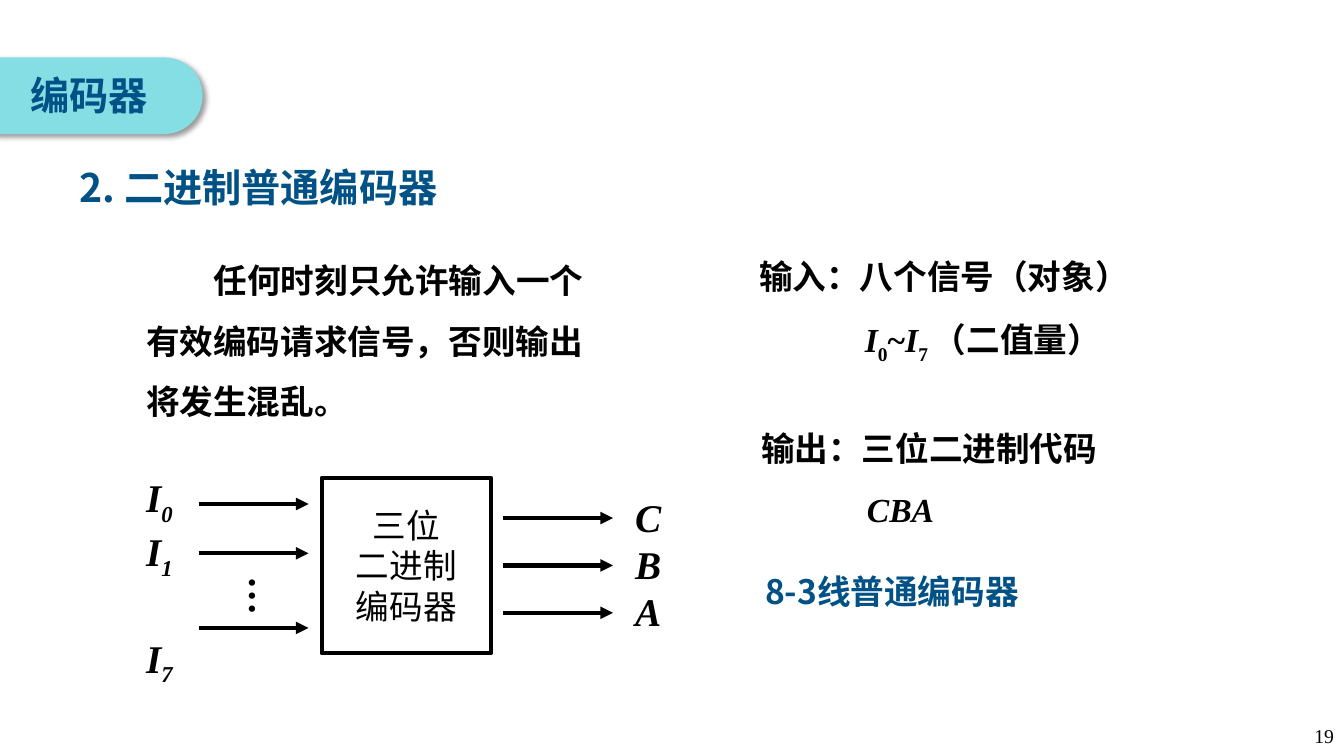
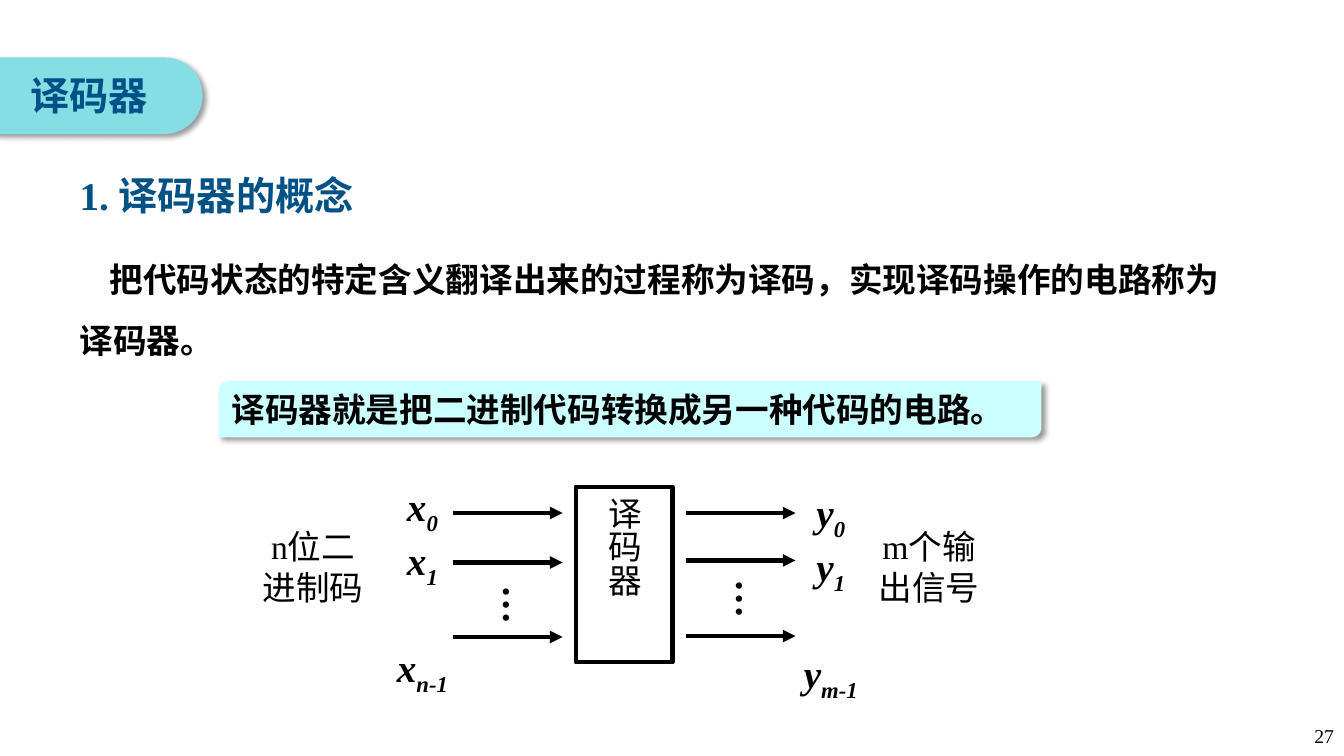
from dataclasses import dataclass, replace

from lxml.etree import SubElement
from pptx import Presentation
from pptx.dml.color import RGBColor
from pptx.enum.shapes import MSO_CONNECTOR, MSO_SHAPE
from pptx.enum.text import MSO_ANCHOR, MSO_AUTO_SIZE, PP_ALIGN
from pptx.oxml.ns import qn
from pptx.util import Emu, Pt

EMU_PER_PX = 9144  # 100 px to the inch
COLORS = {
    "black": "000000",
    "title": "005286",
    "badge": "86DEE5",
    "note": "CCFFFF",
    "white": "FFFFFF",
}
SANS = "Noto Sans CJK SC"
SERIF = "Times New Roman"
ARROW_LENGTH = 109
SKIPPED_LINE = 38


@dataclass(frozen=True)
class Style:
    size: int = 24
    color: str = "black"
    font: str = SERIF
    bold: bool = True
    italic: bool = False
    subscript: bool = False


BODY = Style()
LABEL = Style(bold=False)
SANS_BODY = Style(font=SANS)
HEADING = Style(size=28, color="title", font=SANS)
SYMBOL = Style(size=28, italic=True)
INDEX = replace(SYMBOL, subscript=True)
PAGE_NUMBER = Style(size=14, bold=False)


@dataclass(frozen=True)
class Line:
    """One paragraph: runs of (text, style) and its layout."""
    runs: list
    align: PP_ALIGN = PP_ALIGN.LEFT
    spacing: float = 1.0
    before: int = 0
    margin: int = 0
    first_indent: int = 0


def px(value):
    return Emu(value * EMU_PER_PX)


def color(name):
    return RGBColor.from_string(COLORS[name])


def add_run(paragraph, text, style):
    run = paragraph.add_run()
    run.text = text
    font = run.font
    font.size = Pt(style.size)
    font.bold = style.bold
    font.italic = style.italic
    font.name = style.font
    font.color.rgb = color(style.color)
    properties = run._r.get_or_add_rPr()
    SubElement(properties, qn("a:ea")).set("typeface", SANS)
    if style.subscript:
        properties.set("baseline", "-25000")


def write_lines(shape, lines, anchor=MSO_ANCHOR.TOP, vertical=False):
    frame = shape.text_frame
    frame.vertical_anchor = anchor
    if vertical:
        frame._txBody.bodyPr.set("vert", "eaVert")
    for number, line in enumerate(lines):
        paragraph = frame.add_paragraph() if number else frame.paragraphs[0]
        paragraph.alignment = line.align
        paragraph.line_spacing = line.spacing
        if line.before:
            paragraph.space_before = Pt(line.before)
        properties = paragraph._p.get_or_add_pPr()
        properties.set("marL", str(px(line.margin)))
        properties.set("indent", str(px(line.first_indent)))
        for text, style in line.runs:
            add_run(paragraph, text, style)


def add_text(slide, box, lines, wrap=True, grow=True, **layout):
    shape = slide.shapes.add_textbox(*map(px, box))
    shape.text_frame.word_wrap = wrap
    shape.text_frame.auto_size = (
        MSO_AUTO_SIZE.SHAPE_TO_FIT_TEXT if grow else MSO_AUTO_SIZE.NONE)
    write_lines(shape, lines, **layout)


def add_panel(slide, kind, box, fill):
    shape = slide.shapes.add_shape(kind, *map(px, box))
    shape.shadow.inherit = False
    shape.fill.solid()
    shape.fill.fore_color.rgb = color(fill)
    shape.line.fill.background()
    return shape


def add_soft_shadow(shape):
    effects = shape._element.spPr.find(qn("a:effectLst"))
    shadow = SubElement(effects, qn("a:outerShdw"), {
        "blurRad": str(Pt(4)), "dist": str(Pt(3)), "dir": "2700000",
        "algn": "tl", "rotWithShape": "0"})
    shade = SubElement(shadow, qn("a:srgbClr"), val=COLORS["black"])
    SubElement(shade, qn("a:alpha"), val="40000")


def add_block(slide, box, lines, vertical=False):
    block = add_panel(slide, MSO_SHAPE.RECTANGLE, box, "white")
    block.line.color.rgb = color("black")
    block.line.width = Pt(3)
    write_lines(block, lines, MSO_ANCHOR.MIDDLE, vertical)


def add_arrows(slide, left, heights):
    for height in heights:
        arrow = slide.shapes.add_connector(
            MSO_CONNECTOR.STRAIGHT,
            px(left), px(height), px(left + ARROW_LENGTH), px(height))
        arrow.line.color.rgb = color("black")
        arrow.line.width = Pt(3)
        SubElement(arrow.line._get_or_add_ln(), qn("a:tailEnd"), type="triangle")
        SubElement(arrow._element.spPr, qn("a:effectLst"))


def add_dots(slide, left, top):
    dots = [Line([("…", replace(SANS_BODY, size=28))])]
    add_text(slide, (left, top, 67, 50), dots, wrap=False, vertical=True)


def add_signals(slide, box, symbol, indices, align=PP_ALIGN.LEFT):
    """Stack indexed signal names, with a gap above the last one."""
    last = len(indices) - 1
    lines = [
        Line([(symbol, SYMBOL), (index, INDEX)], align,
             before=SKIPPED_LINE if number == last else 0)
        for number, index in enumerate(indices)
    ]
    add_text(slide, box, lines, wrap=False)


def plain_lines(texts, style, align=PP_ALIGN.LEFT):
    return [Line([(text, style)], align) for text in texts]


def new_slide(presentation, topic, page):
    slide = presentation.slides.add_slide(presentation.slide_layouts[6])
    badge = add_panel(slide, MSO_SHAPE.ROUNDED_RECTANGLE, (-38, 57, 239, 76), "badge")
    badge.adjustments[0] = 0.5
    add_soft_shadow(badge)
    add_text(slide, (20, 66, 228, 57), plain_lines([topic], HEADING))
    add_text(slide, (1033, 710, 300, 40),
             plain_lines([page], PAGE_NUMBER, PP_ALIGN.RIGHT),
             grow=False, anchor=MSO_ANCHOR.MIDDLE)
    return slide


def add_definition(slide, box, title, detail):
    lines = [Line([(title, BODY)], spacing=1.5),
             Line(detail, spacing=1.5, margin=105)]
    add_text(slide, box, lines, anchor=MSO_ANCHOR.MIDDLE)


def build_encoder(presentation):
    slide = new_slide(presentation, "编码器", "19")
    add_text(slide, (69, 157, 742, 57), plain_lines(["2. 二进制普通编码器"], HEADING))
    rule = "任何时刻只允许输入一个有效编码请求信号，否则输出将发生混乱。"
    add_text(slide, (135, 233, 475, 184),
             [Line([(rule, BODY)], spacing=1.5, first_indent=67)])

    italic = replace(BODY, italic=True)
    index = replace(BODY, subscript=True)
    add_definition(slide, (743, 236, 501, 124), "输入：八个信号（对象）", [
        ("I", italic), ("0", index), ("~", BODY),
        ("I", italic), ("7 ", index), ("（二值量）", BODY)])
    add_definition(slide, (745, 403, 522, 124), "输出：三位二进制代码",
                   [("CBA", italic)])
    add_text(slide, (749, 561, 274, 50),
             plain_lines(["8-3线普通编码器"], replace(HEADING, size=24)))

    add_signals(slide, (135, 465, 49, 183), "I", "017")
    add_arrows(slide, 197, (500, 549, 623))
    add_dots(slide, 212, 562)
    add_block(slide, (319, 474, 168, 174),
              plain_lines(["三位", "二进制", "编码器"], LABEL, PP_ALIGN.CENTER))
    add_arrows(slide, 499, range(514, 609, 47))
    add_text(slide, (620, 484, 46, 151), plain_lines("CBA", SYMBOL), wrap=False)


def build_decoder(presentation):
    slide = new_slide(presentation, "译码器", "27")
    add_text(slide, (69, 165, 742, 57),
             plain_lines(["1. 译码器的概念"], replace(HEADING, font=SERIF)))
    concept = "把代码状态的特定含义翻译出来的过程称为译码，实现译码操作的电路称为译码器。"
    add_text(slide, (69, 232, 1156, 122),
             [Line([(concept, SANS_BODY)], spacing=1.5, first_indent=30)])
    note = add_panel(slide, MSO_SHAPE.ROUND_2_DIAG_RECTANGLE, (217, 378, 816, 56), "note")
    add_soft_shadow(note)
    write_lines(note, plain_lines(
        ["译码器就是把二进制代码转换成另一种代码的电路。"], SANS_BODY))

    center = PP_ALIGN.CENTER
    add_signals(slide, (381, 474, 76, 183), "x", ("0", "1", "n-1"), center)
    add_arrows(slide, 449, (509, 558, 632))
    add_dots(slide, 464, 571)
    add_block(slide, (571, 483, 96, 174), plain_lines(["译码器"], LABEL), vertical=True)
    add_arrows(slide, 680, (509, 556, 631))
    add_dots(slide, 695, 565)
    add_signals(slide, (784, 480, 80, 183), "y", ("0", "1", "m-1"), center)
    for left, texts in ((250, ("n位二", "进制码")), (861, ("m个输", "出信号"))):
        add_text(slide, (left, 517, 121, 91),
                 plain_lines(texts, LABEL, center), wrap=False)


def main():
    presentation = Presentation()
    presentation.slide_width = px(1333)
    presentation.slide_height = px(750)
    build_encoder(presentation)
    build_decoder(presentation)
    presentation.save("out.pptx")


if __name__ == "__main__":
    main()
